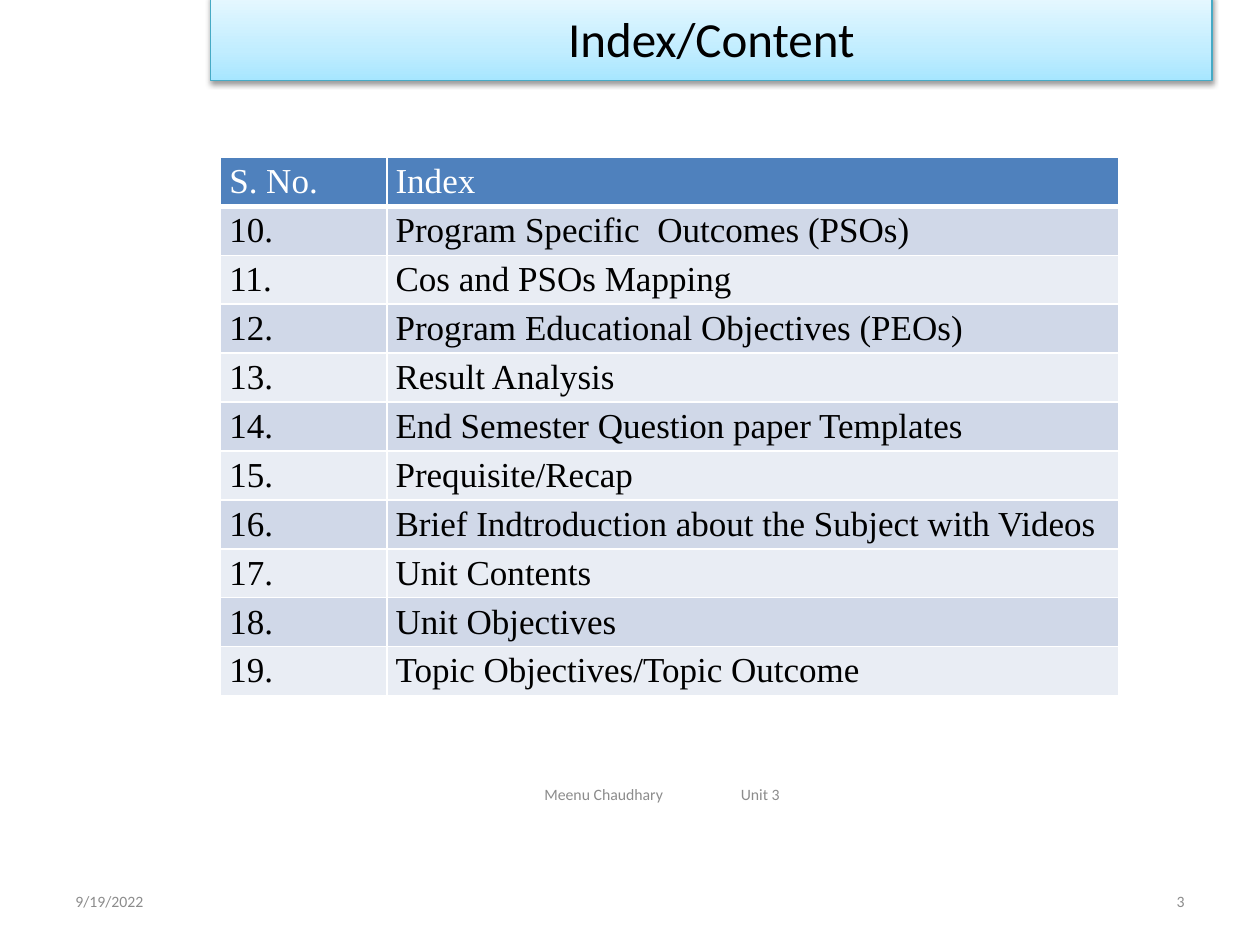
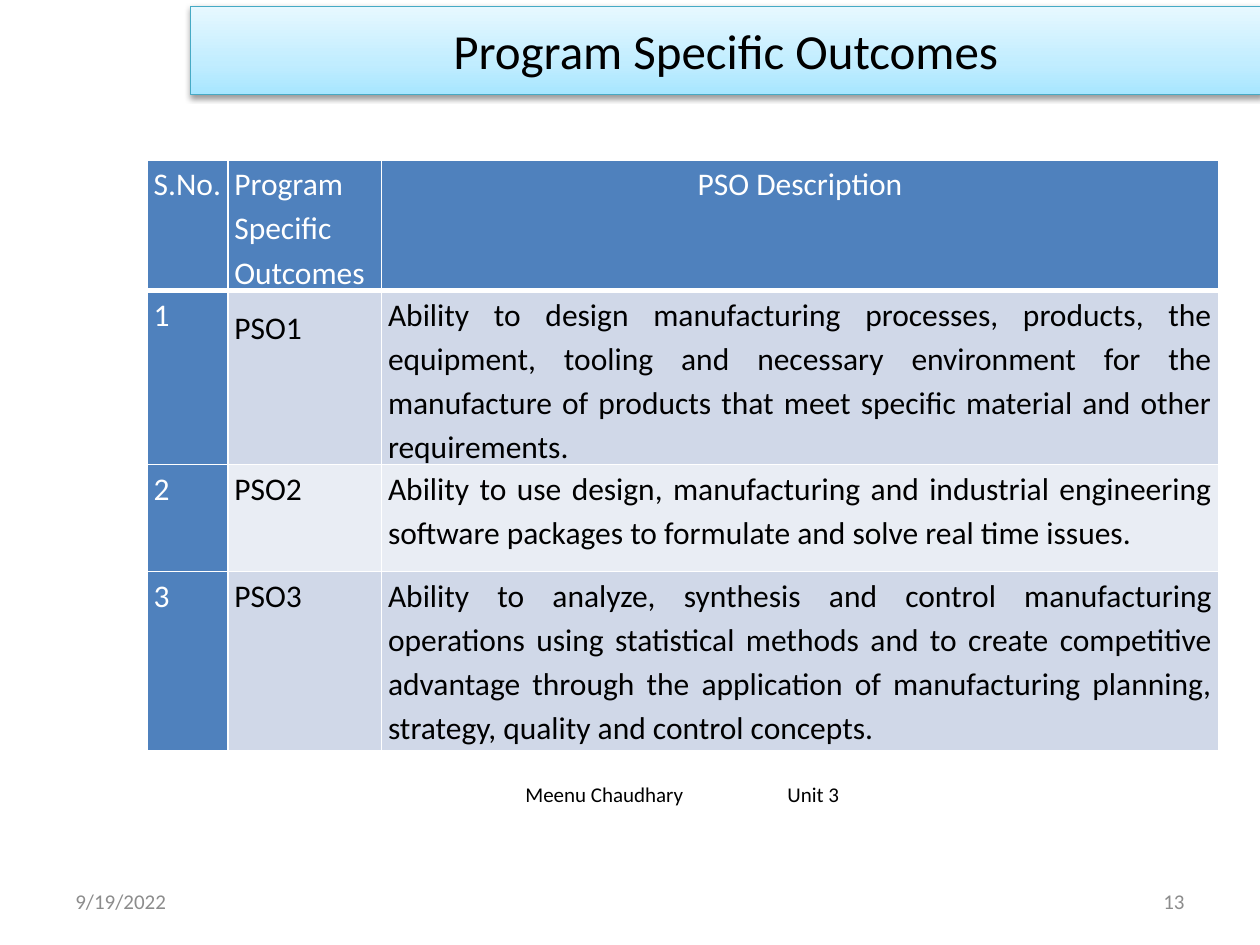
from dataclasses import dataclass
from typing import NamedTuple

from lxml.etree import SubElement
from pptx import Presentation
from pptx.dml.color import RGBColor
from pptx.enum.shapes import MSO_SHAPE as Geom
from pptx.enum.text import MSO_ANCHOR as Anchor, PP_ALIGN as Align
from pptx.oxml.ns import qn
from pptx.util import Inches, Pt

WHITE = RGBColor(0xFF, 0xFF, 0xFF)
BLACK = RGBColor(0x00, 0x00, 0x00)
GRAY = RGBColor(0x8C, 0x8C, 0x8C)
BLUE = RGBColor(0x4F, 0x81, 0xBD)
PALE = RGBColor(0xE9, 0xED, 0xF4)
TINT = RGBColor(0xD0, 0xD8, 0xE8)
TEAL = RGBColor(0x46, 0xAA, 0xC5)
SKY = {0: RGBColor(0xA7, 0xE6, 0xFF), 35: RGBColor(0xC1, 0xED, 0xFF),
       100: RGBColor(0xE7, 0xF8, 0xFF)}

SANS, SERIF = "Calibri", "Times New Roman"
COLS, ROWS = 100, 75  # square grid cells across and down the slide
AUTHOR, UNIT, DATE = "Meenu Chaudhary", "Unit 3", "9/19/2022"


def cells(count: float) -> int:
    """Length of a number of grid cells."""
    return Inches(count * 10 / COLS)


class Box(NamedTuple):
    left: float
    top: float
    width: float
    height: float

    def place(self) -> list[int]:
        return [cells(side) for side in self]


class Type(NamedTuple):
    size: float
    color: RGBColor = BLACK
    font: str = SANS
    align: Align = Align.LEFT


@dataclass
class Footer:
    """Author and unit share a line; indent and tab are in grid cells."""
    box: Box
    size: float
    color: RGBColor
    indent: float
    tab: float
    number: str


@dataclass
class Grid:
    box: Box
    widths: list[float]
    heights: list[float]
    rows: list[tuple[str, ...]]
    size: float
    font: str
    pad: tuple[float, float]
    side: bool = False
    prose: bool = False


@dataclass
class Page:
    title: str
    band: Box
    grid: Grid
    footer: Footer


def write(para, text: str, style: Type) -> None:
    para.alignment = style.align
    run = para.add_run()
    run.text = text
    run.font.size = Pt(style.size)
    run.font.name = style.font
    run.font.bold = False
    run.font.color.rgb = style.color


def add_text(slide, box: Box, text: str, style: Type):
    frame = slide.shapes.add_textbox(*box.place()).text_frame
    frame.word_wrap = True
    frame.vertical_anchor = Anchor.MIDDLE
    write(frame.paragraphs[0], text, style)
    return frame


def add_color(parent, color: RGBColor):
    return SubElement(parent, qn("a:srgbClr"), val=str(color))


def add_band(slide, box: Box, title: str) -> None:
    band = slide.shapes.add_shape(Geom.RECTANGLE, *box.place())
    band.fill.gradient()
    band.fill.gradient_angle = 90
    props = band._element.spPr
    stops = props.find(".//" + qn("a:gsLst"))
    for stop in list(stops):
        stops.remove(stop)
    for share, color in SKY.items():
        add_color(SubElement(stops, qn("a:gs"), pos=str(share * 1000)), color)
    band.line.color.rgb = TEAL
    band.line.width = Pt(0.75)
    band.shadow.inherit = False
    shade = SubElement(props.find(qn("a:effectLst")), qn("a:outerShdw"),
                       blurRad=str(Pt(3.1)), dist=str(Pt(1.6)),
                       dir="5400000", rotWithShape="0")
    SubElement(add_color(shade, BLACK), qn("a:alpha"), val="38000")
    frame = band.text_frame
    frame.word_wrap = True
    frame.vertical_anchor = Anchor.MIDDLE
    frame.margin_left = frame.margin_right = cells(0.7)
    frame.margin_top = frame.margin_bottom = cells(0.4)
    write(frame.paragraphs[0], title, Type(28, align=Align.CENTER))


def add_edges(cell, bottom: float) -> None:
    props = cell._tc.get_or_add_tcPr()
    for side, width in zip("LRTB", (1, 1, 1, bottom)):
        edge = SubElement(props, qn(f"a:ln{side}"), w=str(Pt(width)))
        add_color(SubElement(edge, qn("a:solidFill")), WHITE)


def fill_cell(cell, grid: Grid, row: int, col: int) -> None:
    head = row == 0 or (grid.side and col == 0)
    add_edges(cell, 3 if row == 0 else 1)
    cell.fill.solid()
    cell.fill.fore_color.rgb = BLUE if head else TINT if row % 2 else PALE
    cell.margin_left = cell.margin_right = cells(grid.pad[0])
    cell.margin_top = cell.margin_bottom = cells(grid.pad[1])
    para = cell.text_frame.paragraphs[0]
    align = Align.LEFT
    if grid.prose:
        align = Align.CENTER if (row, col) == (0, 2) else Align.JUSTIFY
        para.line_spacing = 1.5 if (row, col) == (1, 1) else 1.15
        para.space_after = Pt(10)
    write(para, grid.rows[row][col],
          Type(grid.size, WHITE if head else BLACK, grid.font, align))


def add_grid(slide, grid: Grid) -> None:
    table = slide.shapes.add_table(len(grid.rows), len(grid.widths),
                                   *grid.box.place()).table
    table.first_col = grid.side
    for col, width in zip(table.columns, grid.widths):
        col.width = cells(width)
    for row, height in zip(table.rows, grid.heights):
        row.height = cells(height)
    for row in range(len(grid.rows)):
        for col in range(len(grid.widths)):
            fill_cell(table.cell(row, col), grid, row, col)


def add_footer(slide, foot: Footer) -> None:
    frame = add_text(slide, foot.box, f"{AUTHOR}\t{UNIT}",
                     Type(foot.size, foot.color))
    frame.margin_left = cells(foot.indent)
    props = frame.paragraphs[0]._p.get_or_add_pPr()
    tabs = SubElement(props, qn("a:tabLst"))
    SubElement(tabs, qn("a:tab"), pos=str(cells(foot.tab)), algn="l")
    add_text(slide, Box(5, 69.5, 23.3, 4), DATE, Type(foot.size, GRAY))
    add_text(slide, Box(COLS - 28.3, 69.5, 23.3, 4), foot.number,
             Type(foot.size, GRAY, align=Align.RIGHT))


TOPICS = [
    "Program Specific  Outcomes (PSOs)",
    "Cos and PSOs Mapping",
    "Program Educational Objectives (PEOs)",
    "Result Analysis",
    "End Semester Question paper Templates",
    "Prequisite/Recap",
    "Brief Indtroduction about the Subject with Videos",
    "Unit Contents",
    "Unit Objectives",
    "Topic Objectives/Topic Outcome",
]
GOALS = [
    "Ability to design manufacturing processes, products, the equipment, "
    "tooling and necessary environment for the manufacture of products that "
    "meet specific material and other requirements.",
    "Ability to use design, manufacturing and industrial engineering "
    "software packages to formulate and solve real time issues.",
    "Ability to analyze, synthesis and control manufacturing operations "
    "using statistical methods and to create competitive advantage through "
    "the application of manufacturing planning, strategy, quality and "
    "control concepts.",
]

INDEX = Grid(
    Box(17.5, 12.5, 71.3, 42), [13.2, 58.1], [3.83] * (len(TOPICS) + 1),
    [("S. No.", "Index")]
    + [(f"{num}.", topic) for num, topic in enumerate(TOPICS, 10)],
    20, SERIF, (0.7, 0.4))
OUTCOMES = Grid(
    Box(11.7, 12.7, 85, 46.4), [6.4, 12.2, 66.4], [9.2, 11.3, 8.5, 14.2],
    [("S.No.", "Program Specific Outcomes", "PSO Description")]
    + [(f"{num}", f"PSO{num}", goal) for num, goal in enumerate(GOALS, 1)],
    18, SANS, (0.5, 0), side=True, prose=True)

PAGES = [
    Page("Index/Content", Box(16.7, -0.4, 79.5, 6.8), INDEX,
         Footer(Box(26.2, 61.5, 52.5, 3), 9, GRAY, 17, 15.6, "3")),
    Page("Program Specific Outcomes", Box(15.1, 0.5, 85, 7), OUTCOMES,
         Footer(Box(19.2, 61.5, 70, 3), 12, BLACK, 22.5, 20.8, "13")),
]


def main() -> None:
    deck = Presentation()
    deck.slide_width, deck.slide_height = cells(COLS), cells(ROWS)
    for page in PAGES:
        slide = deck.slides.add_slide(deck.slide_layouts[6])
        add_grid(slide, page.grid)
        add_band(slide, page.band, page.title)
        add_footer(slide, page.footer)
    deck.save("out.pptx")


if __name__ == "__main__":
    main()
